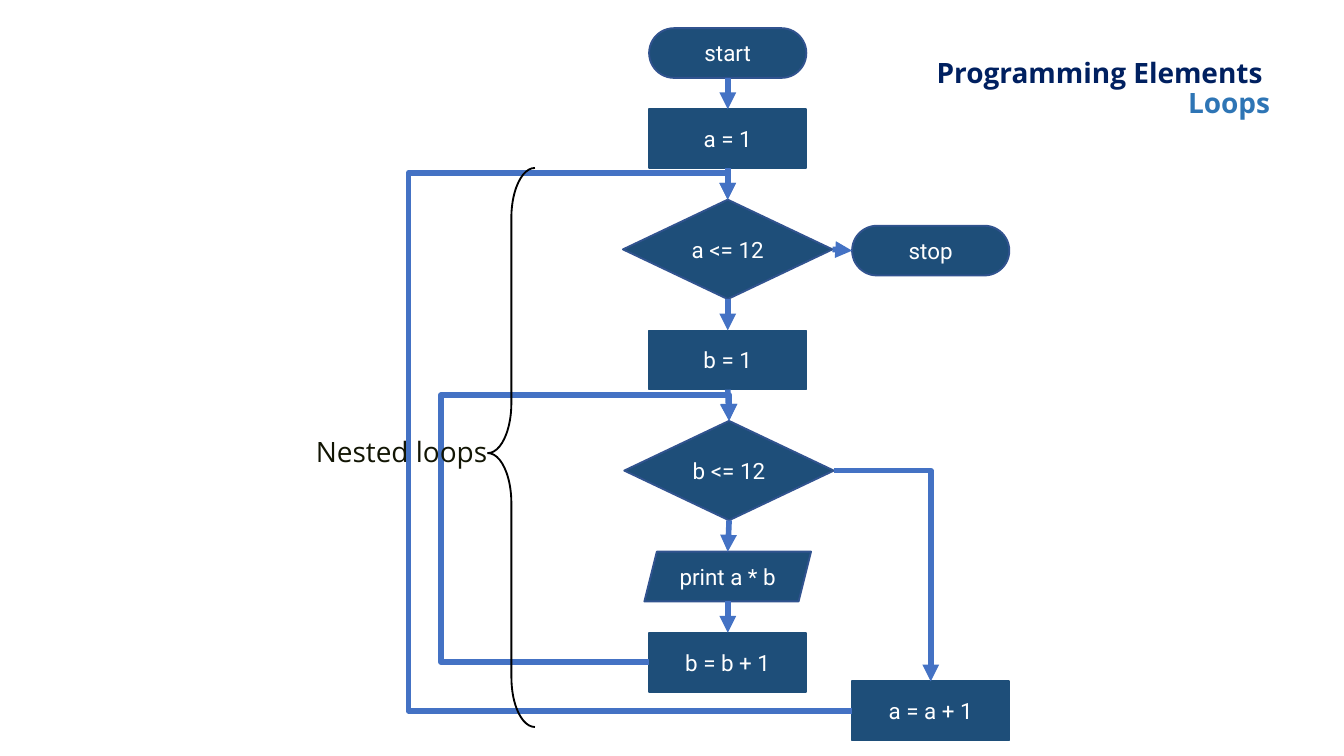
from dataclasses import dataclass

from lxml import etree
from pptx import Presentation, util as u
from pptx.dml.color import RGBColor
from pptx.enum import shapes, text
from pptx.oxml.ns import qn
from pptx.shapes.autoshape import Shape
from pptx.shapes.connector import Connector


@dataclass(frozen=True)
class Theme:
    node: str = "1E4E79"
    outline: str = "31538F"
    arrow: str = "4472C4"
    node_text: str = "FFFFFF"
    label: str = "121504"
    brace: str = "000000"
    title: str = "002060"
    subtitle: str = "2E75B5"
    node_font: str = "Roboto"
    heading_font: str = "Open Sans"
    node_size: float = 12
    heading_size: float = 15
    thin: float = 1
    thick: float = 3


@dataclass(frozen=True)
class Kind:
    preset: shapes.MSO_SHAPE
    cols: float
    rows: float
    outline: str
    adjustment: float | None = None


@dataclass(frozen=True)
class Step:
    label: str
    kind: Kind
    center: float


THEME = Theme()
WIDTH = u.Inches(10)
HEIGHT = WIDTH * 9 // 16
CELL = WIDTH / 100  # square grid cell, 100 columns across the slide

TERMINAL = Kind(shapes.MSO_SHAPE.ROUNDED_RECTANGLE, 11.7, 3.7, THEME.outline, 0.5)
PROCESS = Kind(shapes.MSO_SHAPE.RECTANGLE, 11.7, 4.4, THEME.node)
DECISION = Kind(shapes.MSO_SHAPE.DIAMOND, 15.6, 7.4, THEME.outline)
OUTPUT = Kind(shapes.MSO_SHAPE.PARALLELOGRAM, 12.4, 3.7, THEME.outline, 0.25)

MAIN, SIDE = 54.15, 69.25
FIRST_ROW, GAP = 2.1, 2.33
MAIN_FLOW = [
    Step("start", TERMINAL, MAIN),
    Step("a = 1", PROCESS, MAIN),
    Step("a <= 12", DECISION, MAIN),
    Step("b = 1", PROCESS, MAIN),
    Step("b <= 12", DECISION, MAIN + 0.1),
    Step("print a * b", OUTPUT, MAIN),
    Step("b = b + 1", PROCESS, MAIN),
]
TOP, LEFT, BOTTOM, RIGHT = range(4)


def cells(count: float) -> u.Emu:
    return u.Emu(round(count * CELL))


def color(value: str) -> RGBColor:
    return RGBColor.from_string(value)


def add_node(slide, step: Step, top: float) -> Shape:
    kind = step.kind
    node = slide.shapes.add_shape(
        kind.preset, cells(step.center - kind.cols / 2), cells(top),
        cells(kind.cols), cells(kind.rows))
    if kind.adjustment is not None:
        node.adjustments[0] = kind.adjustment
    node.shadow.inherit = False
    node.fill.solid()
    node.fill.fore_color.rgb = color(THEME.node)
    node.line.color.rgb = color(kind.outline)
    node.line.width = u.Pt(THEME.thin)
    frame = node.text_frame
    frame.margin_left = frame.margin_right = u.Inches(0.07)
    frame.margin_top = frame.margin_bottom = u.Inches(0.04)
    frame.vertical_anchor = text.MSO_ANCHOR.MIDDLE
    frame.word_wrap = True
    frame.text = step.label
    paragraph = frame.paragraphs[0]
    paragraph.alignment = text.PP_ALIGN.CENTER
    style_font(paragraph.font, THEME.node_font, THEME.node_size, THEME.node_text)
    return node


def style_font(font, name: str, size: float, rgb: str) -> None:
    font.name, font.size = name, u.Pt(size)
    font.color.rgb = color(rgb)


def side_point(node: Shape, side: int) -> tuple[int, int]:
    """Middle of one side of a node."""
    middle_x, middle_y = node.left + node.width // 2, node.top + node.height // 2
    return {TOP: (middle_x, node.top), LEFT: (node.left, middle_y),
            BOTTOM: (middle_x, node.top + node.height),
            RIGHT: (node.left + node.width, middle_y)}[side]


def add_arrow(slide, kind, source: Shape, out: int, target: Shape, into: int) -> Connector:
    arrow = slide.shapes.add_connector(
        kind, *side_point(source, out), *side_point(target, into))
    arrow.line.color.rgb = color(THEME.arrow)
    arrow.line.width = u.Pt(THEME.thick)
    etree.SubElement(arrow.line._get_or_add_ln(), qn("a:tailEnd"), type="triangle")
    etree.SubElement(arrow._element.spPr, qn("a:effectLst"))
    return arrow


def add_straight(slide, source: Shape, out: int, target: Shape, into: int) -> None:
    """Arrow glued to its nodes; a parallelogram has no site at its side's middle."""
    arrow = add_arrow(slide, shapes.MSO_CONNECTOR.STRAIGHT, source, out, target, into)
    if source.auto_shape_type != OUTPUT.preset:
        arrow.begin_connect(source, out)
    if target.auto_shape_type != OUTPUT.preset:
        arrow.end_connect(target, into)


def add_bent(slide, preset: str, source: Shape, out: int, target: Shape,
             into: int, via: tuple[float, float] | None = None) -> None:
    """Elbow arrow; via is the column and row its detour runs along."""
    arrow = add_arrow(slide, shapes.MSO_CONNECTOR.ELBOW, source, out, target, into)
    geometry = arrow._element.spPr.find(qn("a:prstGeom"))
    geometry.set("prst", preset)
    if via:
        guides = geometry.find(qn("a:avLst"))
        spans = zip(via, side_point(source, out), side_point(target, into))
        for number, (turn, begin, end) in enumerate(spans, 1):
            share = round((cells(turn) - begin) / (end - begin) * 100000)
            etree.SubElement(guides, qn("a:gd"), name=f"adj{number}", fmla=f"val {share}")


def add_text(slide, left: float, top: float, cols: float, rows: float):
    frame = slide.shapes.add_textbox(*map(cells, (left, top, cols, rows))).text_frame
    frame.word_wrap = True
    frame.margin_left = frame.margin_right = frame.margin_top = frame.margin_bottom = 0
    return frame


def add_flowchart(slide) -> None:
    flow, top = [], FIRST_ROW
    for step in MAIN_FLOW:
        flow.append(add_node(slide, step, top))
        top += step.kind.rows + GAP
    _, _, outer_test, _, inner_test, _, inner_step = flow
    stop = add_node(slide, Step("stop", TERMINAL, SIDE), 16.8)
    outer_step = add_node(slide, Step("a = a + 1", PROCESS, SIDE), 50.7)

    for source, target in zip(flow, flow[1:]):
        add_straight(slide, source, BOTTOM, target, TOP)
    add_straight(slide, outer_test, RIGHT, stop, LEFT)
    add_bent(slide, "bentConnector2", inner_test, RIGHT, outer_step, TOP)
    add_bent(slide, "bentConnector4", outer_step, LEFT, outer_test, TOP, (30.4, 12.9))
    add_bent(slide, "bentConnector4", inner_step, LEFT, inner_test, TOP, (32.8, 29.4))


def add_loop_note(slide) -> None:
    note = add_text(slide, 23.5, 32.3, 16.4, 2.5)
    note.text = "Nested loops"
    style_font(note.paragraphs[0].font, THEME.heading_font, THEME.heading_size, THEME.label)
    brace = slide.shapes.add_shape(
        shapes.MSO_SHAPE.LEFT_BRACE, *map(cells, (36.3, 12.5, 3.5, 41.6)))
    brace.adjustments[0], brace.adjustments[1] = 1.06, 0.51
    brace.shadow.inherit = False
    brace.fill.background()
    brace.line.color.rgb = color(THEME.brace)
    brace.line.width = u.Pt(THEME.thin)


def add_title(slide) -> None:
    frame = add_text(slide, 39, 3, 55.5, 7.3)
    frame.vertical_anchor = text.MSO_ANCHOR.MIDDLE
    heading = frame.paragraphs[0]
    heading.alignment = text.PP_ALIGN.RIGHT
    heading.line_spacing = 0.9
    topic = heading.add_run()
    topic.text = "Programming Elements "
    heading.add_line_break()
    subtopic = heading.add_run()
    subtopic.text = "Loops"
    for run, rgb in ((topic, THEME.title), (subtopic, THEME.subtitle)):
        style_font(run.font, THEME.heading_font, THEME.heading_size, rgb)
        run.font.bold = True


def main() -> None:
    deck = Presentation()
    deck.slide_width, deck.slide_height = WIDTH, HEIGHT
    slide = deck.slides.add_slide(deck.slide_layouts[6])
    add_flowchart(slide)
    add_loop_note(slide)
    add_title(slide)
    deck.save("out.pptx")


if __name__ == "__main__":
    main()
